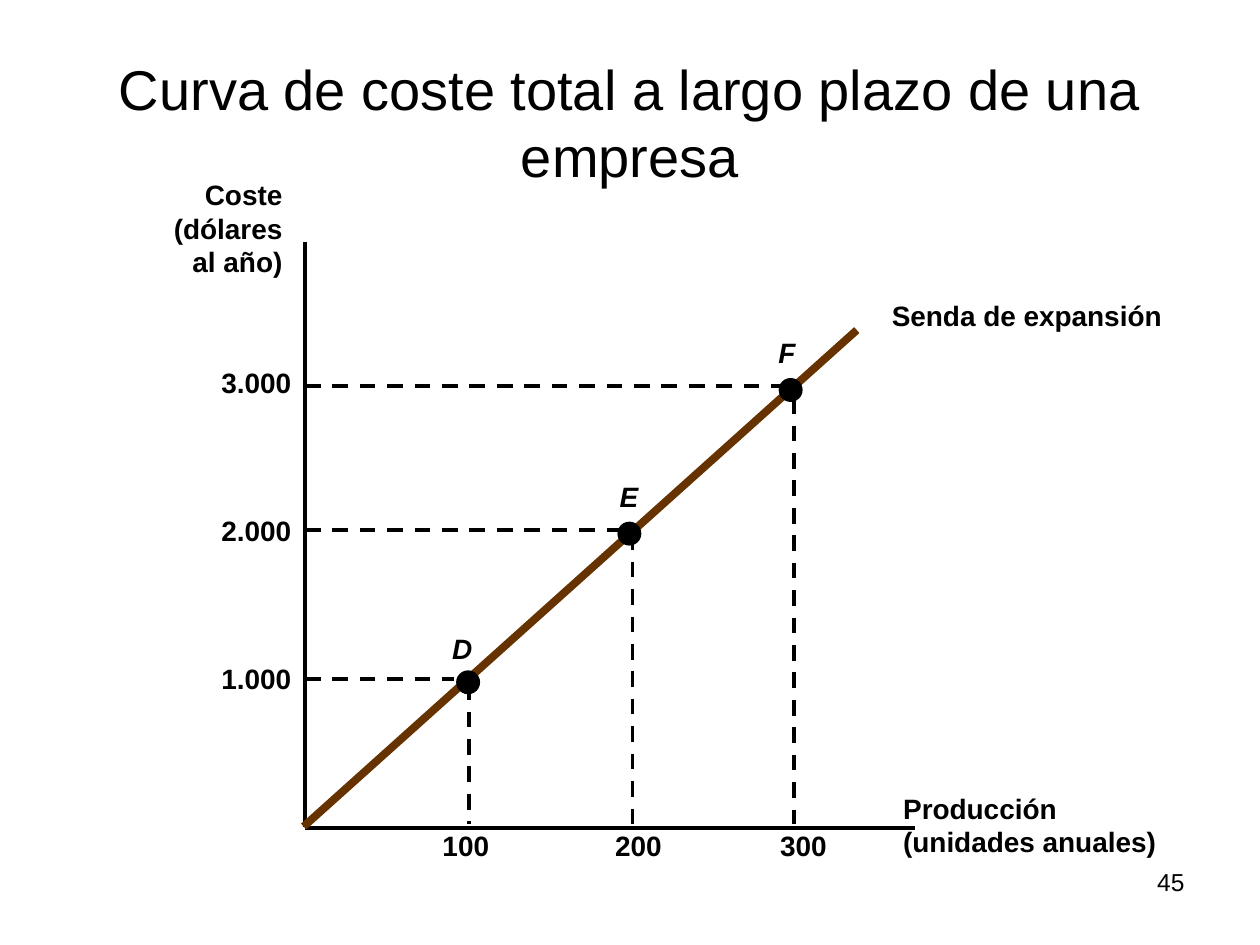
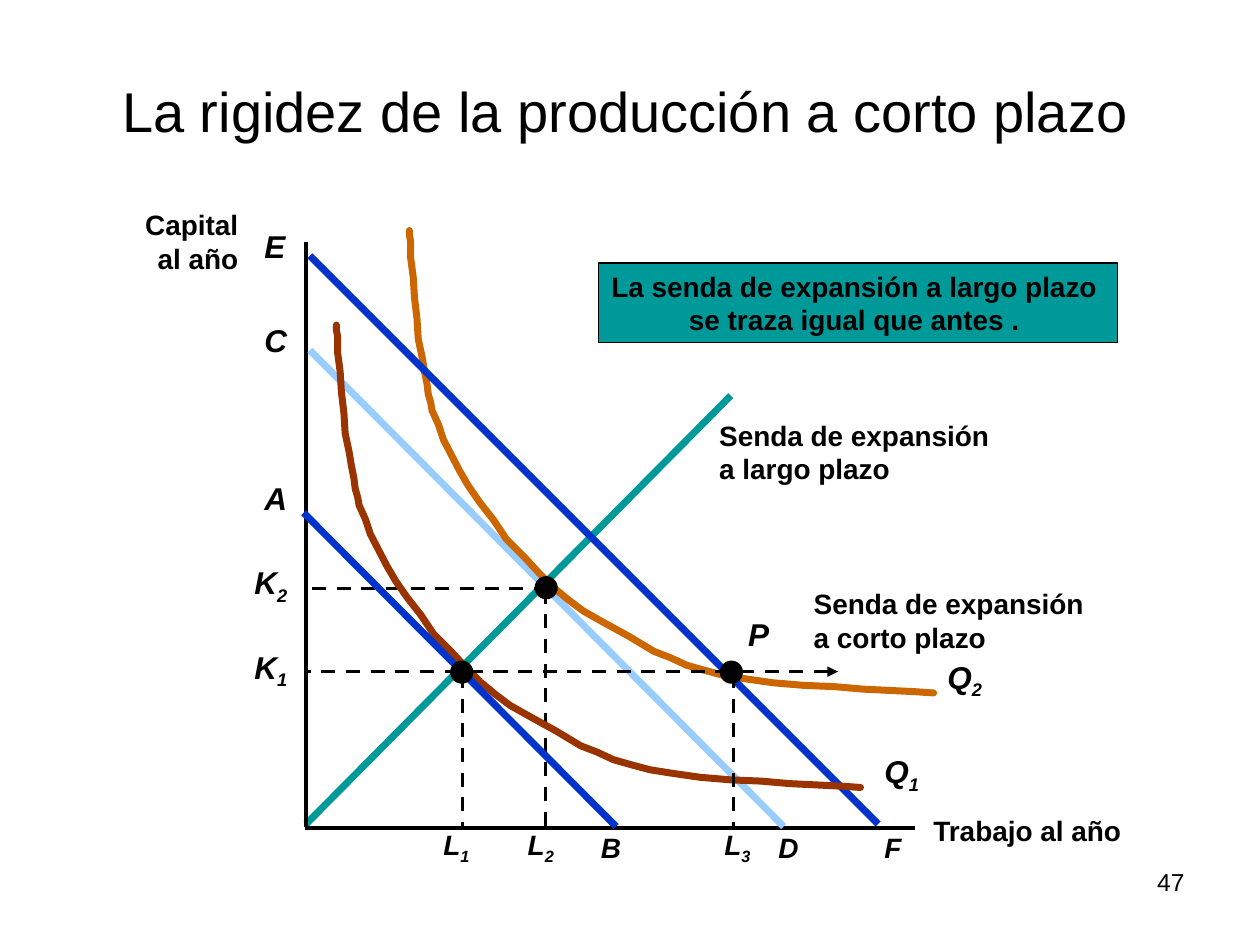
from lxml import etree
from pptx import Presentation
from pptx.dml.color import RGBColor
from pptx.enum.dml import MSO_LINE
from pptx.enum.shapes import MSO_CONNECTOR, MSO_SHAPE
from pptx.enum.text import MSO_ANCHOR, MSO_AUTO_SIZE, PP_ALIGN
from pptx.oxml.ns import qn
from pptx.util import Inches, Pt

LEFT, CENTER, RIGHT = PP_ALIGN.LEFT, PP_ALIGN.CENTER, PP_ALIGN.RIGHT
FIXED, GROW = MSO_AUTO_SIZE.NONE, MSO_AUTO_SIZE.SHAPE_TO_FIT_TEXT
DASH = MSO_LINE.DASH
FONT = "Arial"
COLORS = {
    "black": "000000",
    "brown": "663300",
    "teal": "009999",
    "sky": "99CCFF",
    "blue": "0033CC",
    "orange": "CC6600",
    "rust": "993300",
}

# Isoquant Q1, in inches; Q2 is the same curve shifted up and right.
ISOQUANT = [
    (2.67, 2.58), (2.67, 2.62), (2.68, 2.67), (2.68, 2.8), (2.7, 2.95),
    (2.71, 3.11), (2.73, 3.28), (2.74, 3.44), (2.77, 3.58), (2.79, 3.7),
    (2.81, 3.8), (2.82, 3.88), (2.84, 3.95), (2.85, 4.01), (2.9, 4.12),
    (2.94, 4.24), (3.07, 4.49), (3.14, 4.61), (3.23, 4.74), (3.34, 4.88),
    (3.44, 5.03), (3.58, 5.17), (3.7, 5.3), (3.81, 5.41), (3.93, 5.51),
    (4.05, 5.6), (4.21, 5.69), (4.41, 5.8), (4.61, 5.92), (4.74, 5.97),
    (4.87, 6.03), (5.01, 6.07), (5.16, 6.11), (5.35, 6.14), (5.56, 6.17),
    (5.8, 6.19), (6.04, 6.2), (6.27, 6.22), (6.48, 6.23), (6.68, 6.24),
    (6.83, 6.25),
]
Q2_SHIFT = (0.58, -0.75)


def rgb(name):
    return RGBColor.from_string(COLORS[name])


def write(tf, text, size=16, bold=True, italic=False, align=LEFT):
    """Fill a frame: a newline starts a paragraph, an underscore a subscript."""
    for i, line in enumerate(text.split("\n")):
        p = tf.paragraphs[0] if i == 0 else tf.add_paragraph()
        p.alignment = align
        for j, part in enumerate(line.split("_")):
            r = p.add_run()
            r.text = part
            r.font.name, r.font.size = FONT, Pt(size)
            r.font.bold, r.font.italic = bold, italic
            r.font.color.rgb = rgb("black")
            if j:
                r._r.get_or_add_rPr().set("baseline", "-25000")


class Deck:
    """Holds the shared style and the slide being drawn."""

    def __init__(self):
        self.prs = Presentation()
        self.prs.slide_width, self.prs.slide_height = Inches(10), Inches(7.5)
        self.shapes = None

    def new_slide(self, title, box, number):
        slide = self.prs.slides.add_slide(self.prs.slide_layouts[5])
        self.shapes = slide.shapes
        sp = self.shapes.title
        sp.left, sp.top, sp.width, sp.height = map(Inches, box)
        tf = sp.text_frame
        tf.auto_size = FIXED
        tf.vertical_anchor = MSO_ANCHOR.BOTTOM
        write(tf, title, size=32, bold=False, align=CENTER)
        self.text(number, 7.17, 6.83, 2.33, 0.52, wrap=True, size=14, bold=False, align=RIGHT)

    def text(self, text, x, y, w, h=0.36, wrap=False, **style):
        sp = self.shapes.add_textbox(*map(Inches, (x, y, w, h)))
        tf = sp.text_frame
        tf.word_wrap = wrap
        tf.auto_size = FIXED if wrap else GROW
        write(tf, text, **style)

    def symbol(self, text, x, y, size=16):
        """Bold italic letter naming a point, line or curve."""
        w, h = (0.6, 0.44) if "_" in text else (0.4, 0.38)
        self.text(text, x, y, w, h, wrap=True, size=size, italic=True)

    def line(self, x1, y1, x2, y2, color="black", width=2, dash=None, arrow=False):
        sp = self.shapes.add_connector(MSO_CONNECTOR.STRAIGHT, *map(Inches, (x1, y1, x2, y2)))
        sp.line.color.rgb, sp.line.width = rgb(color), Pt(width)
        if dash:
            sp.line.dash_style = dash
        if arrow:
            etree.SubElement(sp.line._get_or_add_ln(), qn("a:headEnd"), type="triangle")
        etree.SubElement(sp._element.spPr, qn("a:effectLst"))

    def filled(self, kind, x, y, w, h, fill, outline=True):
        sp = self.shapes.add_shape(kind, *map(Inches, (x, y, w, h)))
        sp.shadow.inherit = False
        sp.fill.solid()
        sp.fill.fore_color.rgb = rgb(fill)
        if outline:
            sp.line.color.rgb, sp.line.width = rgb("black"), Pt(1)
        else:
            sp.line.fill.background()
        return sp

    def dot(self, x, y, d, outline=True):
        self.filled(MSO_SHAPE.OVAL, x, y, d, d, "black", outline)

    def box(self, text, x, y, w, h, fill):
        tf = self.filled(MSO_SHAPE.RECTANGLE, x, y, w, h, fill).text_frame
        tf.word_wrap = False
        write(tf, text, align=CENTER)

    def curve(self, points, color, shift=(0, 0)):
        dx, dy = shift
        start, *rest = [(Inches(x + dx), Inches(y + dy)) for x, y in points]
        builder = self.shapes.build_freeform(*start)
        builder.add_line_segments(rest, close=False)
        sp = builder.convert_to_shape()
        sp.shadow.inherit = False
        sp.fill.background()
        sp.line.color.rgb, sp.line.width = rgb(color), Pt(4)
        ln = sp.line._get_or_add_ln()
        ln.set("cap", "rnd")
        etree.SubElement(ln, qn("a:round"))

    def axes(self, x):
        self.line(x, 1.92, x, 6.56)
        self.line(2.42, 6.57, 7.26, 6.57)


def long_run_cost(deck):
    deck.new_slide("Curva de coste total a largo plazo de una empresa", (0.5, 0.3, 9, 1.25), "45")
    deck.axes(2.42)
    deck.text("Producción\n(unidades anuales)", 7.07, 6.23, 2.4, 0.63, wrap=True)
    deck.text("Coste\n(dólares \nal año)", 1.22, 1.36, 1.12, 0.9, align=RIGHT)
    deck.line(2.41, 6.56, 6.8, 2.62, "brown", 4.5)
    deck.text("Senda de expansión", 6.98, 2.32, 2.34)

    for cost, y in (("1.000", 5.2), ("2.000", 4.03), ("3.000", 2.85)):
        deck.text(cost, 1.63, y, 0.78, wrap=True, align=RIGHT)
    for output, right in (("100", 3.98), ("200", 5.35), ("300", 6.66)):
        deck.text(output, right - 0.65, 6.53, 0.65, wrap=True, align=RIGHT)

    # name, label position, dot position, guide end, drop start
    points = [
        ("D", (3.49, 4.96), (3.62, 5.32), (3.6, 5.39), (3.72, 5.43)),
        ("E", (4.82, 3.76), (4.9, 4.14), (4.95, 4.21), (5.02, 4.24)),
        ("F", (6.08, 2.61), (6.18, 3), (6.28, 3.06), (6.3, 3.16)),
    ]
    for name, label, dot, guide, drop in points:
        deck.line(2.42, guide[1], *guide, width=2.25, dash=DASH)
        deck.line(*drop, drop[0], 6.54, width=2.25, dash=DASH)
        deck.dot(*dot, 0.19, outline=False)
        deck.symbol(name, *label)


def short_run_rigidity(deck):
    deck.new_slide("La rigidez de la producción a corto plazo", (0.6, 0, 8.73, 1.19), "47")
    deck.line(2.43, 6.54, 5.8, 3.14, "teal", 4)
    deck.text("Senda de expansión\na largo plazo", 5.61, 3.27, 2.34, 0.63)
    deck.box("La senda de expansión a largo plazo \nse traza igual que antes . ",
             4.75, 2.09, 4.12, 0.63, "teal")
    deck.axes(2.43)
    deck.text("Trabajo al año", 7.31, 6.41, 1.7)
    deck.text("Capital\nal año", 1.05, 1.6, 0.94, 0.63, align=RIGHT)

    # Long-run choice at Q2
    deck.line(2.46, 2.78, 6.22, 6.56, "sky", 4)
    deck.line(4.35, 4.67, 2.41, 4.67, dash=DASH)
    deck.curve(ISOQUANT, "orange", Q2_SHIFT)
    deck.dot(4.25, 4.58, 0.17)
    deck.line(4.33, 4.68, 4.33, 6.57, dash=DASH)

    # Short-run isocost and initial choice at Q1
    deck.line(2.46, 2.03, 6.97, 6.54, "blue", 4)
    deck.curve(ISOQUANT, "rust")
    deck.line(2.41, 4.07, 4.89, 6.56, "blue", 4)
    deck.line(3.67, 5.35, 3.67, 6.57, dash=DASH)
    deck.dot(3.58, 5.25, 0.17)
    deck.line(3.64, 5.33, 2.41, 5.33, dash=DASH)

    # Short-run expansion path
    deck.dot(5.72, 5.25, 0.17)
    deck.line(5.82, 5.35, 5.82, 6.57, dash=DASH)
    deck.line(6.65, 5.33, 3.67, 5.33, dash=DASH, arrow=True)
    deck.text("Senda de expansión\na corto plazo", 6.36, 4.61, 2.4, 0.63, wrap=True)

    for name, x in (("L_1", 3.42), ("L_2", 4.09), ("L_3", 5.65)):
        deck.symbol(name, x, 6.52)
    for name, x in (("B", 4.67), ("D", 6.08), ("F", 6.92)):
        deck.symbol(name, x, 6.54)
    for name, y in (("E", 1.75), ("C", 2.5), ("A", 3.75)):
        deck.symbol(name, 2, y, 18)
    for name, x, y in (("K_2", 1.92, 4.42), ("K_1", 1.92, 5.09), ("P", 5.84, 4.83),
                       ("Q_2", 7.42, 5.17), ("Q_1", 6.92, 5.92)):
        deck.symbol(name, x, y, 18)


def main():
    deck = Deck()
    long_run_cost(deck)
    short_run_rigidity(deck)
    deck.prs.save("out.pptx")


if __name__ == "__main__":
    main()
